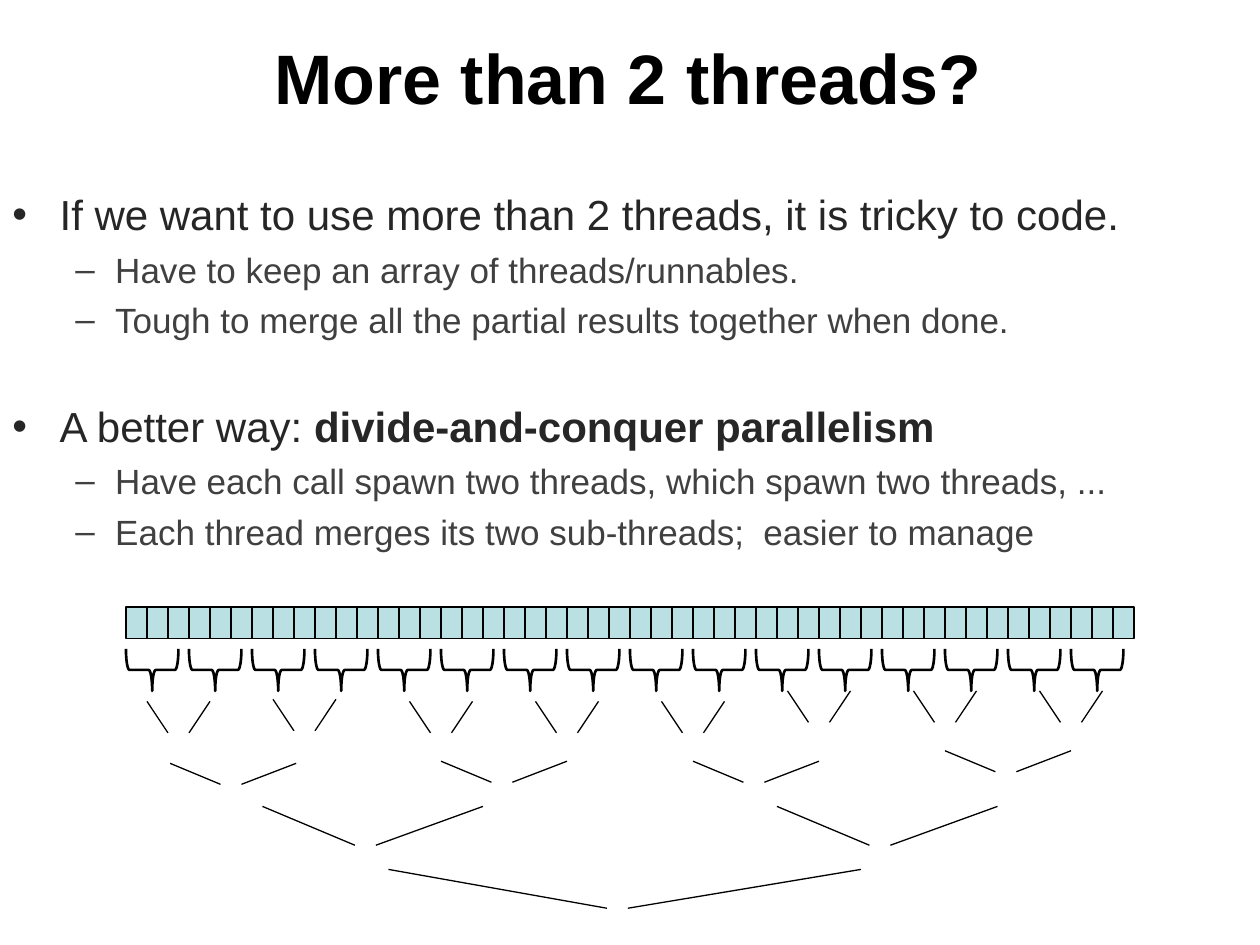
from dataclasses import dataclass

from lxml.etree import SubElement
from pptx import Presentation
from pptx.dml.color import RGBColor
from pptx.enum.shapes import MSO_CONNECTOR as Connector, MSO_SHAPE as Shape
from pptx.enum.text import MSO_ANCHOR as Anchor, PP_ALIGN as Align
from pptx.oxml.ns import qn
from pptx.util import Pt

EMU_PER_PX = 7620  # 120 px to the inch


@dataclass(frozen=True)
class Theme:
    font: str = "Arial"
    black: RGBColor = RGBColor(0x00, 0x00, 0x00)
    point: RGBColor = RGBColor(0x26, 0x26, 0x26)
    detail: RGBColor = RGBColor(0x40, 0x40, 0x40)
    cell: RGBColor = RGBColor(0xBB, 0xE0, 0xE3)
    title_size: int = 40
    point_size: int = 24
    detail_size: int = 20
    thin: float = 0.75
    thick: float = 1.5


@dataclass(frozen=True)
class Level:
    bullet: str
    indent: int
    hanging: int
    size: int
    color: RGBColor


@dataclass(frozen=True)
class Line:
    level: int
    text: str
    bold_text: str = ""
    space_before: int = 5


@dataclass(frozen=True)
class MergeLevel:
    """One level of the merge tree: its branch shape and each (left, top)."""
    width: int
    left_run: int
    drop: int
    places: tuple[tuple[int, int], ...]


THEME = Theme()
LEVELS = (
    Level("•", 45, 45, THEME.point_size, THEME.point),
    Level("–", 98, 38, THEME.detail_size, THEME.detail),
)
LINES = (
    Line(0, "If we want to use more than 2 threads, it is tricky to code.", space_before=0),
    Line(1, "Have to keep an array of threads/runnables."),
    Line(1, "Tough to merge all the partial results together when done."),
    Line(0, "A better way: ", "divide-and-conquer parallelism", space_before=34),
    Line(1, "Have each call spawn two threads, which spawn two threads, ..."),
    Line(1, "Each thread merges its two sub-threads;  easier to manage"),
)
ARRAY_LEFT, ARRAY_TOP = 120, 578
CELL_COUNT, CELL_WIDTH, CELL_HEIGHT = 48, 20, 30
CELLS_PER_THREAD = 3
BRACE_TOP, BRACE_WIDTH, BRACE_HEIGHT = 613, 40, 50
MERGE_GAP = 20
MERGE_LEVELS = (
    MergeLevel(60, 20, 30, ((140, 668), (260, 666), (390, 668), (510, 668),
                            (630, 668), (750, 658), (870, 658), (990, 658))),
    MergeLevel(120, 48, 20, ((162, 727), (420, 725), (660, 725), (900, 715))),
    MergeLevel(210, 88, 37, ((250, 768), (740, 768))),
    MergeLevel(450, 208, 37, ((370, 828),)),
)


def px(*lengths: int) -> list[int]:
    return [length * EMU_PER_PX for length in lengths]


def set_format(target, values: dict) -> None:
    for name, value in values.items():
        setattr(target, name, value)


def set_font(font, size: int, color: RGBColor, bold: bool = False) -> None:
    set_format(font, {"name": THEME.font, "size": Pt(size), "bold": bold})
    font.color.rgb = color


def set_line(line, width: float) -> None:
    line.color.rgb = THEME.black
    line.width = Pt(width)


def add_title(slide, text: str) -> None:
    title = slide.shapes.title
    left, top, width, height = px(23, 13, 1150, 119)
    set_format(title, {"left": left, "top": top, "width": width, "height": height})
    set_format(title.text_frame, {"text": text, "vertical_anchor": Anchor.MIDDLE})
    paragraph = title.text_frame.paragraphs[0]
    paragraph.alignment = Align.CENTER
    set_font(paragraph.runs[0].font, THEME.title_size, THEME.black, bold=True)


def set_bullet(paragraph, level: Level) -> None:
    properties = paragraph._p.get_or_add_pPr()
    indent, hanging = px(level.indent, level.hanging)
    properties.set("marL", str(indent))
    properties.set("indent", str(-hanging))
    SubElement(properties, qn("a:buFont")).set("typeface", THEME.font)
    SubElement(properties, qn("a:buChar")).set("char", level.bullet)


def add_body(slide, lines: tuple[Line, ...]) -> None:
    frame = slide.shapes.add_textbox(*px(0, 170, 1200, 730)).text_frame
    set_format(frame, {"word_wrap": True, "margin_top": px(10)[0]})
    for index, line in enumerate(lines):
        paragraph = frame.add_paragraph() if index else frame.paragraphs[0]
        level = LEVELS[line.level]
        set_bullet(paragraph, level)
        set_format(paragraph, {"level": line.level, "space_before": Pt(line.space_before)})
        for text, bold in ((line.text, False), (line.bold_text, True)):
            if text:
                run = paragraph.add_run()
                run.text = text
                set_font(run.font, level.size, level.color, bold)


def add_cell(slide, index: int) -> None:
    left = ARRAY_LEFT + index * CELL_WIDTH
    cell = slide.shapes.add_shape(
        Shape.RECTANGLE, *px(left, ARRAY_TOP, CELL_WIDTH, CELL_HEIGHT))
    cell.shadow.inherit = False
    cell.fill.solid()
    cell.fill.fore_color.rgb = THEME.cell
    set_line(cell.line, THEME.thin)


def add_brace(slide, index: int) -> None:
    """Bracket one thread's cells; the size is that before the quarter turn."""
    left = ARRAY_LEFT + 5 + index * CELLS_PER_THREAD * CELL_WIDTH
    brace = slide.shapes.add_shape(
        Shape.LEFT_BRACE, *px(left, BRACE_TOP, BRACE_WIDTH, BRACE_HEIGHT))
    brace.rotation = 270
    brace.adjustments[0] = 0.083
    brace.shadow.inherit = False
    brace.fill.background()
    set_line(brace.line, THEME.thick)


def add_branch(slide, start: tuple[int, int], end: tuple[int, int]) -> None:
    branch = slide.shapes.add_connector(Connector.STRAIGHT, *px(*start, *end))
    set_line(branch.line, THEME.thin)
    SubElement(branch._element.spPr, qn("a:effectLst"))


def add_merge(slide, level: MergeLevel, left: int, top: int) -> None:
    meeting, bottom = left + level.left_run, top + level.drop
    add_branch(slide, (left, top), (meeting, bottom))
    add_branch(slide, (left + level.width, top), (meeting + MERGE_GAP, bottom))


def main() -> None:
    presentation = Presentation()
    presentation.slide_width, presentation.slide_height = px(1200, 900)
    slide = presentation.slides.add_slide(presentation.slide_layouts[5])
    add_title(slide, "More than 2 threads?")
    add_body(slide, LINES)
    for index in range(CELL_COUNT):
        add_cell(slide, index)
    for index in range(CELL_COUNT // CELLS_PER_THREAD):
        add_brace(slide, index)
    for level in MERGE_LEVELS:
        for left, top in level.places:
            add_merge(slide, level, left, top)
    presentation.save("out.pptx")


if __name__ == "__main__":
    main()
